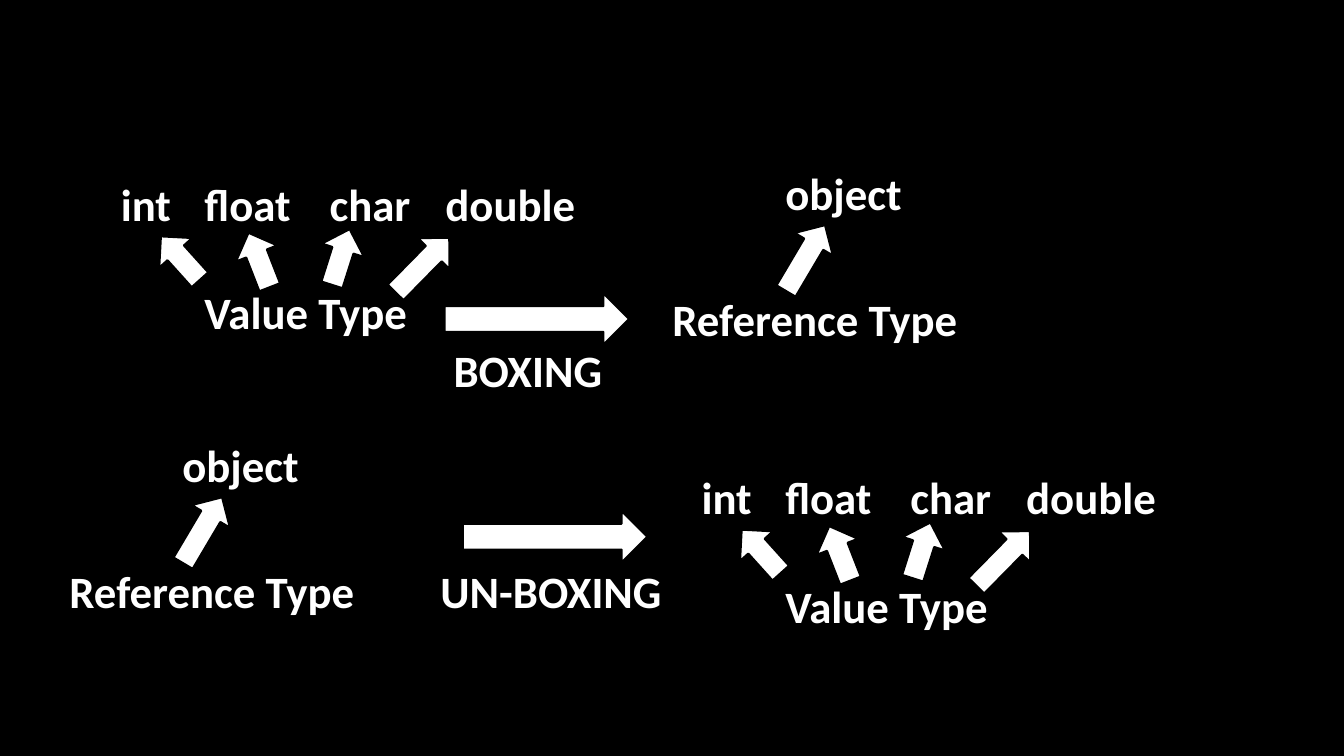
from pptx import Presentation
from pptx.dml.color import RGBColor
from pptx.enum.shapes import MSO_SHAPE as Shape
from pptx.enum.text import MSO_AUTO_SIZE as AutoSize
from pptx.util import Inches, Pt

BLACK = "000000"
WHITE = "FFFFFF"


def set_fill(fill, color):
    fill.solid()
    fill.fore_color.rgb = RGBColor.from_string(color)


class TypeDiagram:
    """The slide being drawn, with its text and arrow style."""

    font_name = "Calibri"
    font_size = Pt(32)
    label_height = 0.64

    def __init__(self, slide):
        self.slide = slide
        set_fill(slide.background.fill, BLACK)

    def label(self, text, left, top, width):
        box = self.slide.shapes.add_textbox(
            Inches(left), Inches(top), Inches(width), Inches(self.label_height))
        frame = box.text_frame
        frame.word_wrap = False
        frame.auto_size = AutoSize.SHAPE_TO_FIT_TEXT
        run = frame.paragraphs[0].add_run()
        run.text = text
        run.font.name = self.font_name
        run.font.size = self.font_size
        run.font.bold = True
        set_fill(run.font.fill, WHITE)

    def arrow(self, left, top, width, height=0.44, rotation=0):
        arrow = self.slide.shapes.add_shape(
            Shape.RIGHT_ARROW, Inches(left), Inches(top), Inches(width), Inches(height))
        arrow.rotation = rotation
        arrow.shadow.inherit = False
        set_fill(arrow.fill, WHITE)
        set_fill(arrow.line.fill, BLACK)
        arrow.line.width = Pt(1.5)

    def value_type(self, left, top):
        """Value Type with arrows up to its four example types."""
        self.label("Value Type", left + 0.83, top + 1.08, 2.23)
        for name, dx, width in [("int", 0, 0.7), ("float", 0.83, 1.07),
                                ("char", 2.07, 1.01), ("double", 3.22, 1.5)]:
            self.label(name, left + dx, top, width)
        for dx, dy, length, rotation in [(0.4, 0.64, 0.58, 228), (1.18, 0.66, 0.58, 248.7),
                                         (1.99, 0.63, 0.58, 287.6), (2.71, 0.71, 0.76, 314.5)]:
            self.arrow(left + dx, top + dy, length, rotation=rotation)

    def reference_type(self, left, top):
        """Reference Type with an arrow up to object."""
        self.label("Reference Type", left, top + 1.25, 3.05)
        self.label("object", left + 1.12, top, 1.37)
        self.arrow(left + 1.04, top + 0.75, 0.76, rotation=300.6)

    def conversion(self, left, top):
        self.arrow(left, top, 1.83, height=0.51)


def main():
    deck = Presentation()
    deck.slide_width = Inches(13.33)
    deck.slide_height = Inches(7.5)
    diagram = TypeDiagram(deck.slides.add_slide(deck.slide_layouts[6]))

    diagram.value_type(1.1, 1.7)
    diagram.conversion(4.41, 2.91)
    diagram.label("BOXING", 4.4, 3.35, 1.69)
    diagram.reference_type(6.57, 1.59)

    diagram.reference_type(0.59, 4.29)
    diagram.conversion(4.59, 5.07)
    diagram.label("UN-BOXING", 4.27, 5.54, 2.42)
    diagram.value_type(6.86, 4.61)

    deck.save("out.pptx")


if __name__ == "__main__":
    main()
